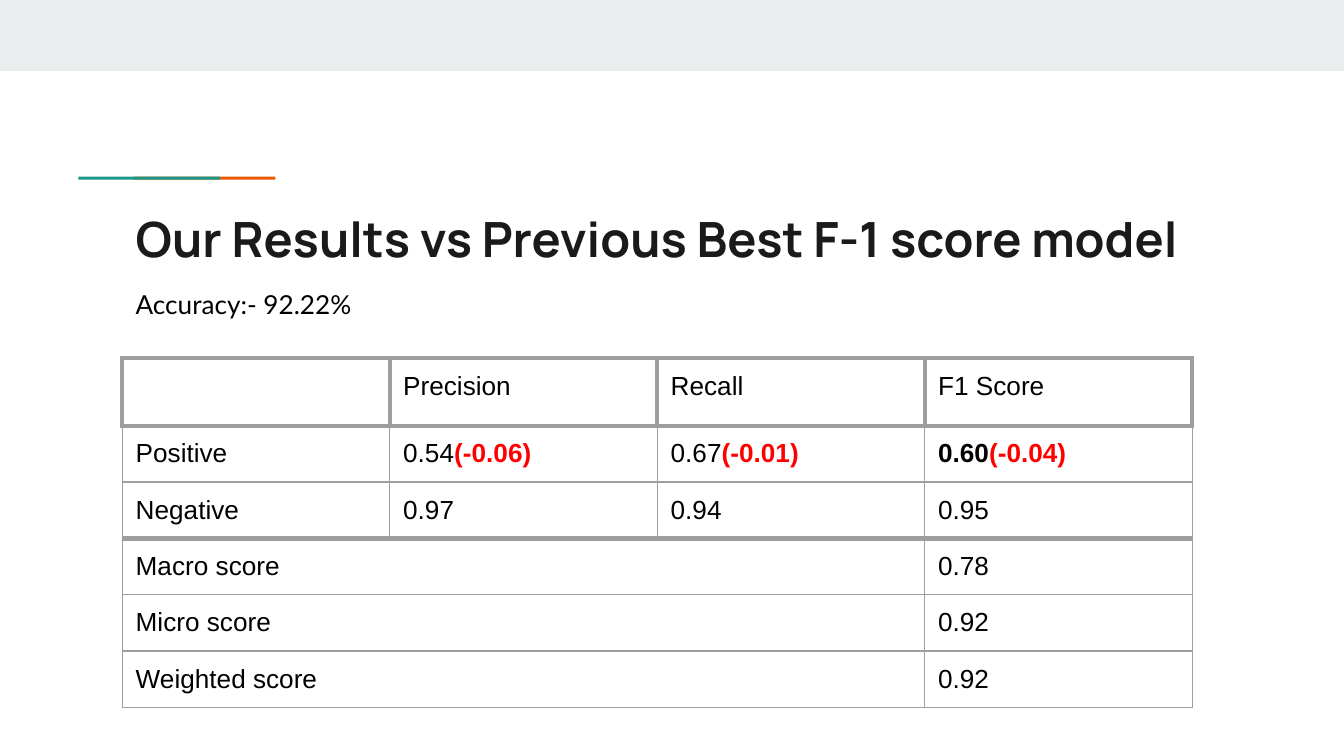
from lxml.etree import SubElement
from pptx import Presentation
from pptx.dml.color import RGBColor
from pptx.enum.shapes import MSO_SHAPE as SHAPE
from pptx.enum.text import MSO_ANCHOR as ANCHOR, MSO_AUTO_SIZE as AUTOSIZE, PP_ALIGN as ALIGN
from pptx.oxml.ns import qn
from pptx.util import Pt

BLACK = RGBColor(0x00, 0x00, 0x00)
INK = RGBColor(0x1A, 0x1A, 0x1A)
RED = RGBColor(0xFF, 0x00, 0x00)
BAND = RGBColor(0xE9, 0xED, 0xEE)
TEAL = RGBColor(0x1A, 0x99, 0x88)
ORANGE = RGBColor(0xEB, 0x56, 0x00)
GRAY = RGBColor(0x9E, 0x9E, 0x9E)
INSET = Pt(7.2)
LEFT = Pt(65.5)


def style_text(r, font, size, color, bold=False):
    r.font.name = font
    r.font.size = Pt(size)
    r.font.bold = bold
    r.font.color.rgb = color


def set_borders(cell, top, bottom, side):
    tcPr = cell._tc.get_or_add_tcPr()
    edges = [("a:lnL", side), ("a:lnR", side), ("a:lnT", top), ("a:lnB", bottom)]
    for i, (tag, width) in enumerate(edges):
        ln = SubElement(tcPr, qn(tag), w=str(Pt(width)))
        fill = SubElement(ln, qn("a:solidFill"))
        SubElement(fill, qn("a:srgbClr"), val=str(GRAY))
        tcPr.insert(i, ln)


prs = Presentation()
prs.slide_width, prs.slide_height = Pt(720), Pt(405)
s = prs.slides.add_slide(prs.slide_layouts[5])

bars = [
    (0, 0, 720, 38.2, BAND),
    (71.5, 94.7, 76, 1.6, ORANGE),
    (42, 94.7, 76, 1.6, TEAL),
]
for x, y, w, h, color in bars:
    sp = s.shapes.add_shape(SHAPE.RECTANGLE, Pt(x), Pt(y), Pt(w), Pt(h))
    sp.shadow.inherit = False
    sp.fill.solid()
    sp.fill.fore_color.rgb = color
    sp.line.fill.background()

title = s.shapes.title
title.left, title.top, title.width, title.height = LEFT, Pt(105), Pt(605.5), Pt(42.5)
accuracy = s.shapes.add_textbox(LEFT, Pt(147.5), Pt(546.5), Pt(27.5))
texts = [
    (title, "Our Results vs Previous Best F-1 score model", "Manrope", 26, INK, True),
    (accuracy, "Accuracy:- 92.22%", "Lato", 14, BLACK, False),
]
for sp, text, font, size, color, bold in texts:
    tf = sp.text_frame
    tf.text = text
    tf.word_wrap = True
    tf.auto_size = AUTOSIZE.NONE
    tf.vertical_anchor = ANCHOR.TOP
    tf.margin_left = tf.margin_right = tf.margin_top = tf.margin_bottom = INSET
    p = tf.paragraphs[0]
    p.alignment = ALIGN.LEFT
    style_text(p.runs[0], font, size, color, bold)

rows = [
    ["", "Precision", "Recall", "F1 Score"],
    ["Positive", "0.54", "0.67", "0.60"],
    ["Negative", "0.97", "0.94", "0.95"],
    ["Macro score", "", "", "0.78"],
    ["Micro score", "", "", "0.92"],
    ["Weighted score", "", "", "0.92"],
]
changes = {(1, 1): "(-0.06)", (1, 2): "(-0.01)", (1, 3): "(-0.04)"}
rules = [2.25, 2.25, 0.75, 3, 0.75, 0.75, 0.75]

table = s.shapes.add_table(6, 4, LEFT, Pt(191.7), Pt(573.2), Pt(184.8)).table
table.first_row = False
table.horz_banding = False
for col in table.columns:
    col.width = Pt(143.3)
for i, row in enumerate(table.rows):
    row.height = Pt(34.3 if i == 0 else 30.1)

for i, row in enumerate(rows):
    for j, text in enumerate(row):
        cell = table.cell(i, j)
        cell.fill.background()
        cell.margin_left = cell.margin_right = INSET
        cell.margin_top = cell.margin_bottom = INSET
        set_borders(cell, rules[i], rules[i + 1], 2.25 if i == 0 else 0.75)
        p = cell.text_frame.paragraphs[0]
        if text:
            r = p.add_run()
            r.text = text
            style_text(r, "Arial", 14, BLACK, (i, j) == (1, 3))
        if (i, j) in changes:
            r = p.add_run()
            r.text = changes[i, j]
            style_text(r, "Arial", 14, RED, True)

for i in range(3, 6):
    table.cell(i, 0).merge(table.cell(i, 2))

prs.save("out.pptx")
